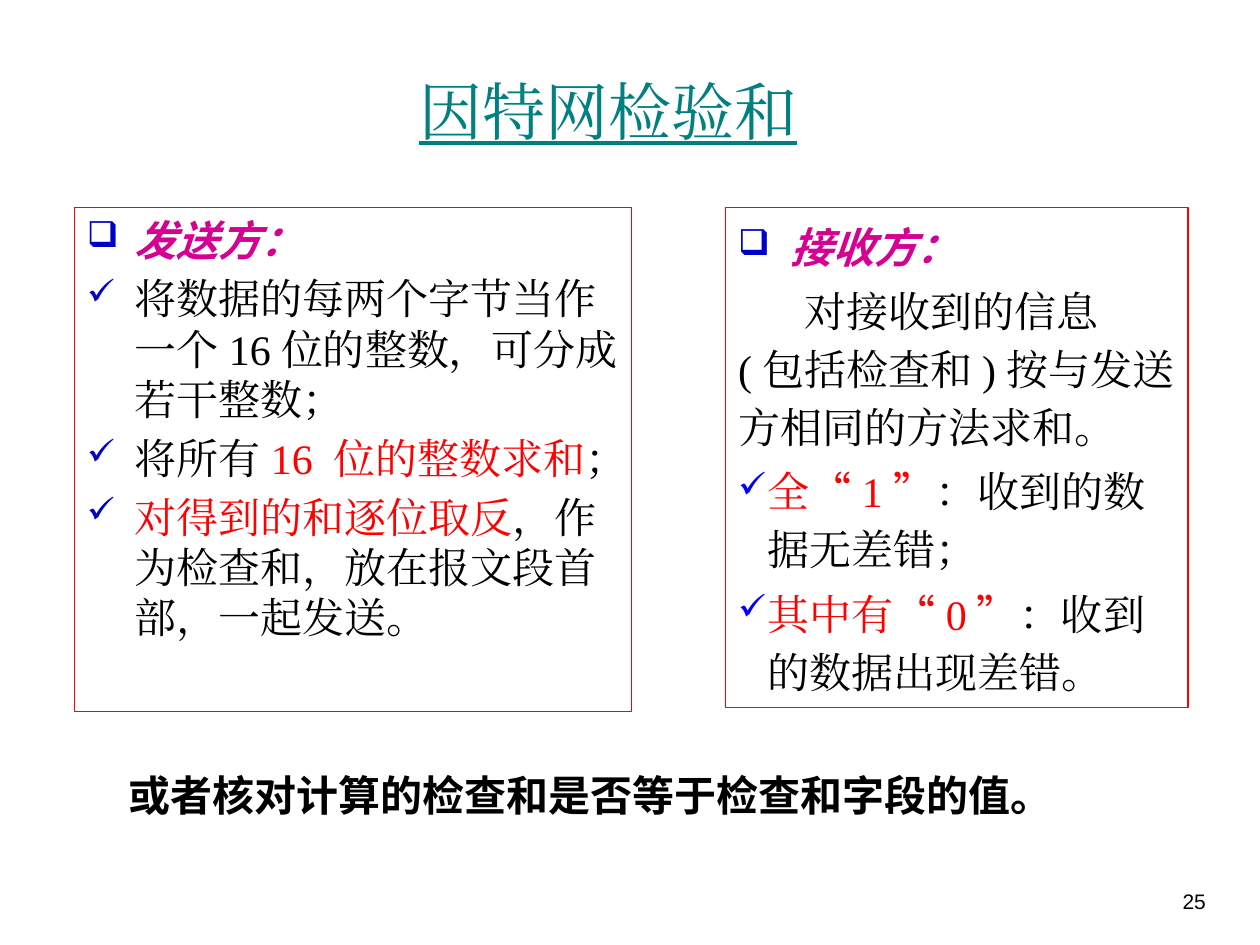
from lxml import etree
from pptx import Presentation
from pptx.dml.color import RGBColor
from pptx.enum.text import MSO_ANCHOR, PP_ALIGN
from pptx.oxml.ns import qn
from pptx.util import Cm, Pt

MIDDLE = MSO_ANCHOR.MIDDLE
CENTER, RIGHT = PP_ALIGN.CENTER, PP_ALIGN.RIGHT

TEAL = RGBColor(0x00, 0x80, 0x80)
RED = RGBColor(0xFF, 0x00, 0x00)
MAGENTA = RGBColor(0xD6, 0x00, 0x93)
BLACK = RGBColor(0x00, 0x00, 0x00)
NAVY = RGBColor(0x00, 0x00, 0xCC)
BLUE = RGBColor(0x00, 0x00, 0xFF)

SERIF, SANS = "Times New Roman", "Noto Sans CJK SC"
BODY = {"name": SERIF, "size": Pt(24), "color": BLACK}
KEY = BODY | {"color": RED}
QUOTE = KEY | {"name": SANS}
HEADING = BODY | {"name": SANS, "color": MAGENTA, "bold": True, "italic": True}
TITLE = {"name": SERIF, "size": Pt(36), "color": TEAL, "underline": True}
NOTE = BODY | {"name": "Comic Neue", "bold": True}
NUMBER = {"name": "Arial", "size": Pt(12), "color": BLACK}


def add_span(para, text, style):
    """Add a run whose Latin and East Asian fonts are the same."""
    span = para.add_run()
    span.text = text
    for key, value in style.items():
        if key == "color":
            span.font.color.rgb = value
        else:
            setattr(span.font, key, value)
    latin = span.font._element.find(qn("a:latin"))
    east_asian = etree.Element(qn("a:ea"), typeface=style["name"])
    latin.addnext(east_asian)


def set_bullet(para, symbol, color):
    properties = para._p.get_or_add_pPr()
    bullet_color = etree.SubElement(properties, qn("a:buClr"))
    etree.SubElement(bullet_color, qn("a:srgbClr"), val=str(color))
    etree.SubElement(properties, qn("a:buSzPct"), val="85000")
    etree.SubElement(properties, qn("a:buChar"), char=symbol)


def set_indent(para, left, first):
    properties = para._p.get_or_add_pPr()
    properties.set("marL", str(left))
    properties.set("indent", str(first))


def add_box(page, left, top, width, height):
    box = page.shapes.add_textbox(left, top, width, height)
    box.text_frame.word_wrap = True
    return box


def add_panel(page, left, width, height, items, line_spacing, gap):
    """Add a red-framed box; items hold bullet, colour, left, first, spans."""
    box = add_box(page, left, Cm(4.19), width, height)
    box.line.color.rgb = RED
    box.line.width = Pt(0.75)
    frame = box.text_frame
    for index, (symbol, color, margin, first, spans) in enumerate(items):
        para = frame.add_paragraph() if index else frame.paragraphs[0]
        para.line_spacing = line_spacing
        if index:
            para.space_before = gap
        set_indent(para, margin, first)
        if symbol:
            set_bullet(para, symbol, color)
        for text, style in spans:
            add_span(para, text, style)


def add_title(page, text):
    title = page.shapes.title
    title.left, title.top = Cm(1.47), Cm(0.64)
    title.width, title.height = Cm(21.59), Cm(3.18)
    title.text_frame.vertical_anchor = MIDDLE
    para = title.text_frame.paragraphs[0]
    para.alignment = CENTER
    add_span(para, text, TITLE)


def add_sender(page):
    hang = Cm(0.97)
    steps = [
        [("将数据的每两个字节当作一个16位的整数，可分成若干整数；", BODY)],
        [("将所有", BODY), ("16 位的整数求和", KEY), ("；", BODY)],
        [("对得到的和逐位取反", KEY),
         ("，作为检查和，放在报文段首部，一起发送。", BODY)],
    ]
    items = [("❑", NAVY, hang, -hang, [("发送方：", HEADING)])]
    items += [("✓", NAVY, hang, -hang, spans) for spans in steps]
    add_panel(page, Cm(1.5), Cm(11.23), Cm(10.16), items, 1.0, Pt(4.8))


def add_receiver(page):
    heading_hang, check_hang = Cm(1.05), Cm(0.6)
    items = [
        ("❑", NAVY, heading_hang, -heading_hang, [("接收方：", HEADING)]),
        (None, None, 0, Cm(1.33),
         [("对接收到的信息 (包括检查和)按与发送方相同的方法求和。", BODY)]),
    ]
    results = [("全", "1", "：收到的数据无差错；"),
               ("其中有", "0", "：收到的数据出现差错。")]
    for lead, digit, meaning in results:
        spans = [(lead, KEY), ("“", QUOTE), (digit, KEY), ("”", QUOTE),
                 (meaning, BODY)]
        items.append(("✓", BLUE, check_hang, -check_hang, spans))
    add_panel(page, Cm(14.63), Cm(9.32), Cm(10.08), items, 1.15, Pt(3.6))


def main():
    deck = Presentation()
    deck.slide_width, deck.slide_height = Cm(25.4), Cm(19.05)
    page = deck.slides.add_slide(deck.slide_layouts[5])
    add_title(page, "因特网检验和")
    add_sender(page)
    add_receiver(page)
    note = add_box(page, Cm(2.34), Cm(15.39), Cm(20.75), Cm(1.27))
    add_span(note.text_frame.paragraphs[0],
             "或者核对计算的检查和是否等于检查和字段的值。", NOTE)
    number = add_box(page, Cm(22.68), Cm(17.78), Cm(1.88), Cm(1.27))
    number.text_frame.paragraphs[0].alignment = RIGHT
    add_span(number.text_frame.paragraphs[0], "25", NUMBER)
    deck.save("out.pptx")


if __name__ == "__main__":
    main()
